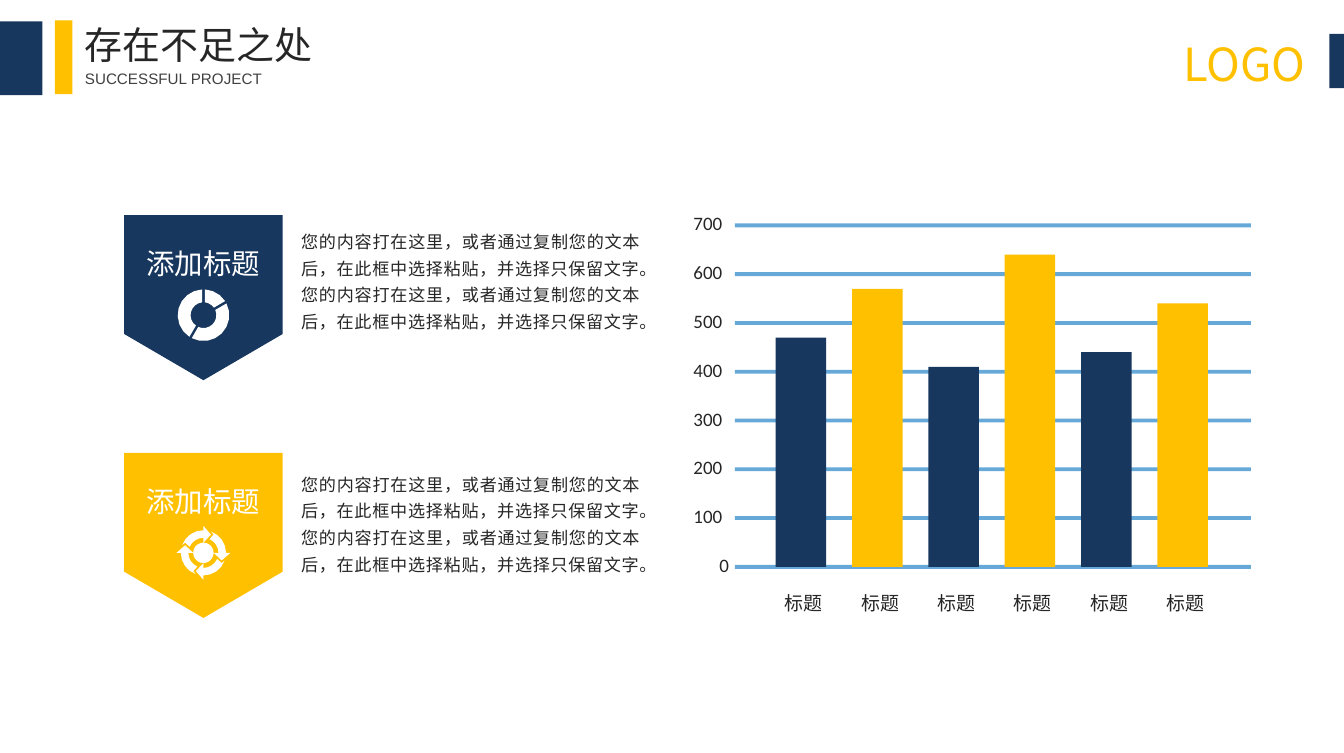
from dataclasses import dataclass
from math import cos, radians, sin

from lxml.etree import SubElement
from pptx import Presentation
from pptx.dml.color import RGBColor
from pptx.enum.shapes import MSO_CONNECTOR, MSO_SHAPE
from pptx.enum.text import MSO_ANCHOR, PP_ALIGN
from pptx.oxml.ns import qn
from pptx.util import Cm, Pt


@dataclass(frozen=True)
class Theme:
    navy: RGBColor = RGBColor(0x17, 0x37, 0x5E)
    gold: RGBColor = RGBColor(0xFF, 0xC0, 0x00)
    white: RGBColor = RGBColor(0xFF, 0xFF, 0xFF)
    ink: RGBColor = RGBColor(0x26, 0x26, 0x26)
    grey: RGBColor = RGBColor(0x40, 0x40, 0x40)
    grid: RGBColor = RGBColor(0x00, 0x70, 0xC0)
    grid_opacity: int = 60
    latin: str = "Arial"
    digits: str = "Calibri"
    chinese: str = "Noto Sans CJK SC"
    title: int = 20
    subtitle: int = 8
    logo: int = 24
    badge: int = 15
    body: int = 9
    axis: int = 10


THEME = Theme()
SENTENCE = "您的内容打在这里，或者通过复制您的文本后，在此框中选择粘贴，并选择只保留文字。"
SECTIONS = [
    {"title": "添加标题", "body": SENTENCE * 2, "color": THEME.navy,
     "icon": "ring", "top": 4.0, "body_top": 4.09},
    {"title": "添加标题", "body": SENTENCE * 2, "color": THEME.gold,
     "icon": "cycle", "top": 8.42, "body_top": 8.6},
]
BARS = [("标题", 470), ("标题", 570), ("标题", 410),
        ("标题", 640), ("标题", 440), ("标题", 540)]
SCALE = range(0, 701, 100)
HEADER_BLOCKS = [
    (0, 0.4, 0.79, 1.37, THEME.navy),
    (1.02, 0.38, 0.33, 1.37, THEME.gold),
    (24.73, 0.63, 0.27, 1.01, THEME.navy),
]
BADGE_LEFT, BADGE_WIDTH, BADGE_HEIGHT, SHOULDER = 2.31, 2.95, 3.07, 2.21
ICON_DROP = 1.86
GRID_LEFT, GRID_RIGHT, GRID_TOP, GRID_BASE = 13.67, 23.27, 4.19, 10.54
BAR_LEFT, BAR_STEP, BAR_WIDTH = 14.43, 1.42, 0.94
LABEL_HEIGHT = 0.69


def polar(radius, degrees):
    return radius * sin(radians(degrees)), -radius * cos(radians(degrees))


def arc(radius, start, end):
    steps = round(abs(end - start) / 18)
    return [polar(radius, start + (end - start) * step / steps)
            for step in range(steps + 1)]


def ring_icon():
    outer, inner = 0.48, 0.24
    return [arc(outer, start + 3, end - 3) + arc(inner, end - 6, start + 6)
            for start, end in ((0, 60), (60, 210), (210, 360))]


def cycle_icon():
    head = [(0, -0.19), (0.14, -0.34), (0, -0.5)]
    arrow = arc(0.28, -66, 0) + head + arc(0.42, 0, -70) + [(-0.34, -0.19)]
    arrows = []
    for _ in range(4):
        arrows.append(arrow)
        arrow = [(-y, x) for x, y in arrow]
    return arrows + [arc(0.19, 0, 360)]


ICONS = {"ring": ring_icon, "cycle": cycle_icon}


def paint(shape, color):
    shape.shadow.inherit = False
    shape.fill.solid()
    shape.fill.fore_color.rgb = color
    shape.line.fill.background()


def draw_block(page, place, color):
    paint(page.shapes.add_shape(MSO_SHAPE.RECTANGLE, *map(Cm, place)), color)


def draw_outline(page, contours, left, top, color):
    contours = [[(Cm(left + x), Cm(top + y)) for x, y in contour]
                for contour in contours]
    builder = page.shapes.build_freeform(*contours[0][0])
    for index, contour in enumerate(contours):
        if index:
            builder.move_to(*contour[0])
        builder.add_line_segments(contour[1:], close=True)
    shape = builder.convert_to_shape()
    paint(shape, color)
    return shape


def write(shape, text, size, color, latin=THEME.chinese, margins=(0.18, 0.1),
          anchor=MSO_ANCHOR.TOP, align=PP_ALIGN.LEFT, wrap=True):
    frame = shape.text_frame
    frame.text = text
    frame.word_wrap = wrap
    frame.vertical_anchor = anchor
    frame.margin_left = frame.margin_right = Cm(margins[0])
    frame.margin_top = frame.margin_bottom = Cm(margins[1])
    para = frame.paragraphs[0]
    para.alignment = align
    for span in para.runs:
        span.font.size = Pt(size)
        span.font.color.rgb = color
        span.font.name = latin
        east_asian = SubElement(span.font._element, qn("a:ea"))
        east_asian.set("typeface", THEME.chinese)
    return frame


def text_box(page, place, *content, **options):
    box = page.shapes.add_textbox(*map(Cm, place))
    return write(box, *content, **options)


def draw_header(page):
    for *place, color in HEADER_BLOCKS:
        draw_block(page, place, color)
    heading = {"latin": THEME.latin, "margins": (0, 0), "anchor": MSO_ANCHOR.MIDDLE}
    text_box(page, (1.58, 0.4, 4.5, 0.86), "存在不足之处",
             THEME.title, THEME.ink, **heading)
    text_box(page, (1.58, 1.3, 4.5, 0.33), "SUCCESSFUL PROJECT",
             THEME.subtitle, THEME.grey, **heading)
    text_box(page, (21.83, 0.57, 3.17, 1.22), "LOGO", THEME.logo, THEME.gold)


def draw_section(page, section):
    pennant = [(0, 0), (BADGE_WIDTH, 0), (BADGE_WIDTH, SHOULDER),
               (BADGE_WIDTH / 2, BADGE_HEIGHT), (0, SHOULDER)]
    badge = draw_outline(page, [pennant], BADGE_LEFT, section["top"], section["color"])
    frame = write(badge, section["title"], THEME.badge, THEME.white,
                  align=PP_ALIGN.CENTER)
    frame.margin_top = Cm(0.58)
    draw_outline(page, ICONS[section["icon"]](), BADGE_LEFT + BADGE_WIDTH / 2,
                 section["top"] + ICON_DROP, THEME.white)
    body = text_box(page, (5.42, section["body_top"], 6.65, 2.18), section["body"],
                    THEME.body, THEME.ink, align=PP_ALIGN.JUSTIFY)
    body.paragraphs[0].line_spacing = 1.3


def height_of(value):
    return (GRID_BASE - GRID_TOP) * value / SCALE[-1]


def draw_gridline(page, level):
    line = page.shapes.add_connector(
        MSO_CONNECTOR.STRAIGHT, Cm(GRID_LEFT), Cm(level), Cm(GRID_RIGHT), Cm(level))
    line.line.width = Pt(0)
    line.line.color.rgb = THEME.grid
    color = line.line._ln.find(".//" + qn("a:srgbClr"))
    SubElement(color, qn("a:alpha")).set("val", str(THEME.grid_opacity * 1000))
    SubElement(line._element.spPr, qn("a:effectLst"))


def draw_label(page, place, text, latin):
    text_box(page, place, text, THEME.axis, THEME.ink, latin=latin,
             margins=(0.25, 0.13), wrap=False)


def draw_columns(page):
    for value in SCALE:
        level = GRID_BASE - height_of(value)
        draw_gridline(page, level)
        left, width = (12.65, 1.07) if value else (13.13, 0.69)
        draw_label(page, (left, level - 0.38, width, LABEL_HEIGHT),
                   str(value), THEME.digits)
    for index, (label, value) in enumerate(BARS):
        left, height = BAR_LEFT + index * BAR_STEP, height_of(value)
        draw_block(page, (left, GRID_BASE - height, BAR_WIDTH, height),
                   (THEME.navy, THEME.gold)[index % 2])
        draw_label(page, (left - 0.08, 10.87, 1.24, LABEL_HEIGHT),
                   label, THEME.chinese)


def main():
    deck = Presentation()
    deck.slide_width, deck.slide_height = Cm(25), Cm(14)
    page = deck.slides.add_slide(deck.slide_layouts[6])
    draw_header(page)
    for section in SECTIONS:
        draw_section(page, section)
    draw_columns(page)
    deck.save("out.pptx")


if __name__ == "__main__":
    main()
